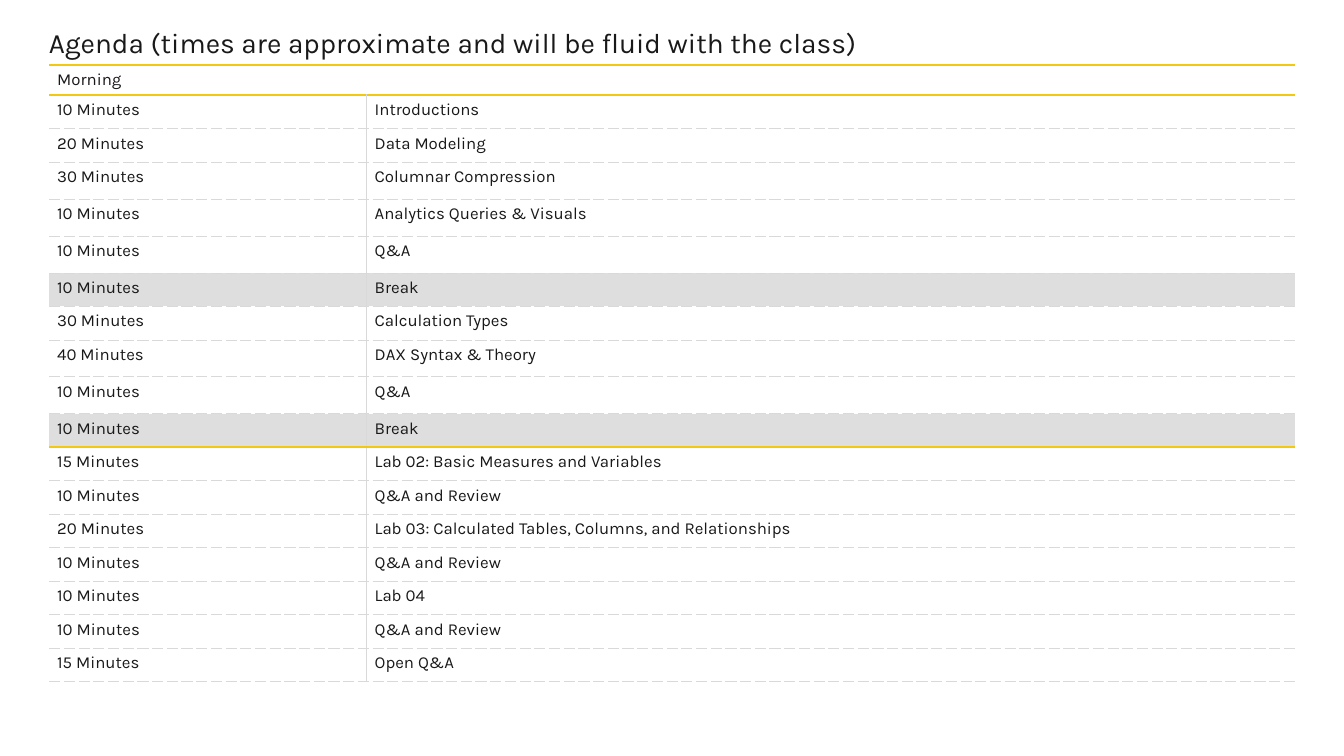
"""Build the class agenda slide: a title above a timetable."""
from dataclasses import dataclass
from typing import Optional

from lxml.etree import SubElement
from pptx import Presentation
from pptx.dml.color import RGBColor
from pptx.enum.text import MSO_ANCHOR
from pptx.oxml.ns import qn
from pptx.util import Pt


@dataclass(frozen=True)
class Theme:
    font: str = "Karla"
    ink: str = "191919"
    gold: str = "F2C811"
    grid: str = "D9D9D9"
    shade: str = "DEDEDE"
    title_size: float = 20
    body_size: float = 12


@dataclass(frozen=True)
class Line:
    color: str
    width: float
    dash: str = "solid"


@dataclass(frozen=True)
class Item:
    minutes: int
    topic: str
    height: float = 23.94

    @property
    def is_break(self) -> bool:
        return self.topic == "Break"


THEME = Theme()
RULE = Line(THEME.gold, 1.5)
DIVIDER = Line(THEME.grid, 0.5)
DASHED = Line(THEME.grid, 0.5, "dash")
HEADER_HEIGHT = 21.6
TALL = 26.35
COL_WIDTHS = (226.8, 663.12)
RULE_EDGES = (0, 1, 11)

TITLE = "Agenda (times are approximate and will be fluid with the class)"
SESSION = "Morning"
ITEMS = (
    Item(10, "Introductions"),
    Item(20, "Data Modeling"),
    Item(30, "Columnar Compression", TALL),
    Item(10, "Analytics Queries & Visuals", TALL),
    Item(10, "Q&A", TALL),
    Item(10, "Break"),
    Item(30, "Calculation Types"),
    Item(40, "DAX Syntax & Theory", TALL),
    Item(10, "Q&A", TALL),
    Item(10, "Break"),
    Item(15, "Lab 02: Basic Measures and Variables"),
    Item(10, "Q&A and Review"),
    Item(20, "Lab 03: Calculated Tables, Columns, and Relationships"),
    Item(10, "Q&A and Review"),
    Item(10, "Lab 04"),
    Item(10, "Q&A and Review"),
    Item(15, "Open Q&A"),
)


def set_attrs(obj, values: dict) -> None:
    for name, value in values.items():
        setattr(obj, name, value)


def write(tf, text: str, size: float) -> None:
    r = tf.paragraphs[0].add_run()
    r.text = text
    set_attrs(r.font, {"name": THEME.font, "size": Pt(size), "bold": False})
    r.font.color.rgb = RGBColor.from_string(THEME.ink)


def add_border(cell, side: str, line: Optional[Line]) -> None:
    ln = SubElement(cell._tc.get_or_add_tcPr(), qn(f"a:ln{side}"))
    if line is None:
        SubElement(ln, qn("a:noFill"))
        return
    ln.set("w", str(Pt(line.width)))
    fill = SubElement(ln, qn("a:solidFill"))
    SubElement(fill, qn("a:srgbClr")).set("val", line.color)
    SubElement(ln, qn("a:prstDash")).set("val", line.dash)


def edge(row: int) -> Line:
    return RULE if row in RULE_EDGES else DASHED


def style_cell(cell, row: int, col: int, shaded: bool) -> None:
    divider = DIVIDER if row else None
    borders = {
        "L": divider if col else None,
        "R": None if col else divider,
        "T": edge(row),
        "B": edge(row + 1),
    }
    for side, line in borders.items():
        add_border(cell, side, line)
    if shaded:
        cell.fill.solid()
        cell.fill.fore_color.rgb = RGBColor.from_string(THEME.shade)
    else:
        cell.fill.background()
    set_attrs(cell, {
        "margin_left": Pt(5.76), "margin_right": Pt(5.76),
        "margin_top": Pt(3.6), "margin_bottom": Pt(3.6),
        "vertical_anchor": MSO_ANCHOR.TOP,
    })


def add_title(s) -> None:
    tf = s.shapes.add_textbox(Pt(34.9), Pt(12.24), Pt(889.92), Pt(28.8)).text_frame
    set_attrs(tf, {
        "margin_left": 0, "margin_right": 0, "margin_top": 0, "margin_bottom": 0,
        "word_wrap": True, "vertical_anchor": MSO_ANCHOR.MIDDLE,
    })
    tf.paragraphs[0].line_spacing = Pt(31.4)
    write(tf, TITLE, THEME.title_size)


def add_agenda(s) -> None:
    heights = [HEADER_HEIGHT, *(item.height for item in ITEMS)]
    table = s.shapes.add_table(
        len(heights), len(COL_WIDTHS), Pt(35.1), Pt(46.4),
        Pt(sum(COL_WIDTHS)), Pt(sum(heights))).table
    set_attrs(table, {"first_row": False, "horz_banding": False})
    for column, width in zip(table.columns, COL_WIDTHS):
        column.width = Pt(width)
    for row, height in zip(table.rows, heights):
        row.height = Pt(height)

    for col in range(len(COL_WIDTHS)):
        style_cell(table.cell(0, col), 0, col, False)
    table.cell(0, 0).merge(table.cell(0, 1))
    write(table.cell(0, 0).text_frame, SESSION, THEME.body_size)

    for row, item in enumerate(ITEMS, start=1):
        for col, text in enumerate((f"{item.minutes} Minutes", item.topic)):
            cell = table.cell(row, col)
            style_cell(cell, row, col, item.is_break)
            write(cell.text_frame, text, THEME.body_size)


def main() -> None:
    prs = Presentation()
    set_attrs(prs, {"slide_width": Pt(960), "slide_height": Pt(540)})
    s = prs.slides.add_slide(prs.slide_layouts[6])
    add_title(s)
    add_agenda(s)
    prs.save("out.pptx")


if __name__ == "__main__":
    main()
